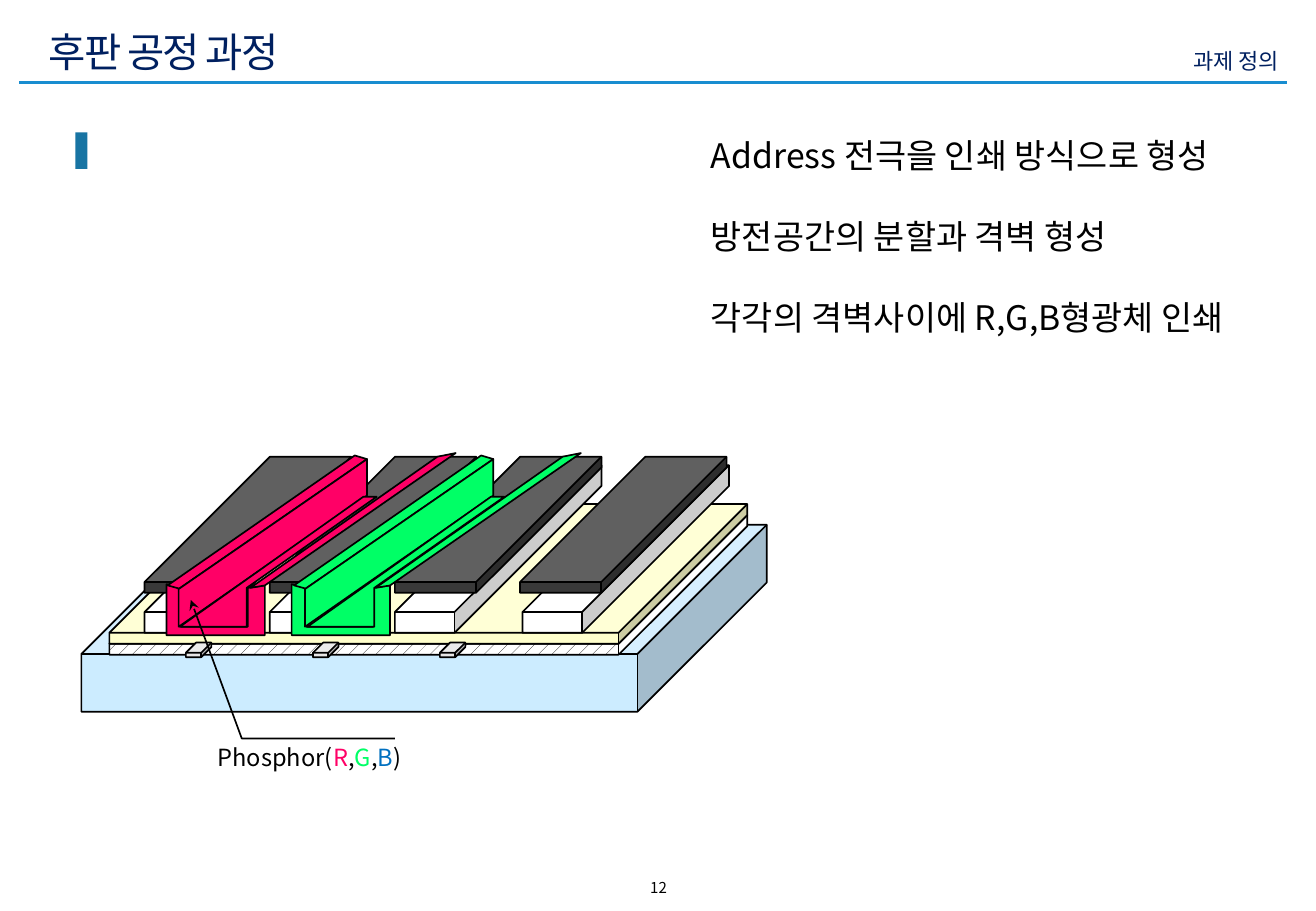
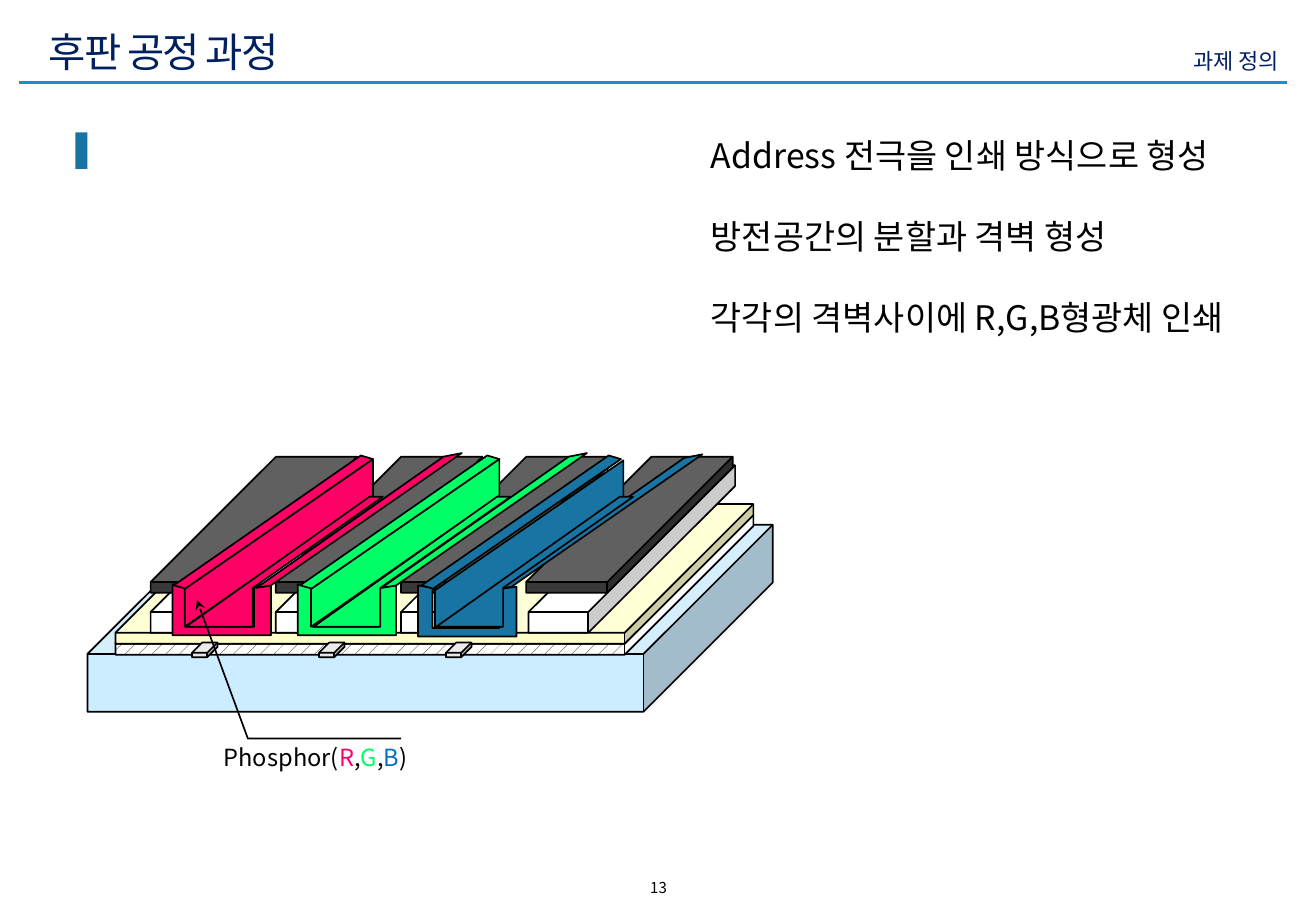
"""Two slides on the thick-film process, with a layered panel cutaway."""
from lxml.etree import SubElement
from pptx import Presentation
from pptx.dml.color import RGBColor
from pptx.enum.dml import MSO_PATTERN
from pptx.enum.shapes import MSO_CONNECTOR, MSO_SHAPE
from pptx.enum.text import MSO_ANCHOR, MSO_AUTO_SIZE, PP_ALIGN
from pptx.oxml.ns import qn
from pptx.util import Inches, Pt

FONT = "Noto Sans CJK KR"
COLORS = {
    "black": "000000", "white": "FFFFFF", "navy": "002060", "rule": "188DD0",
    "accent": "1874A3", "glass": "CCECFF", "dielectric": "FFFFCC",
    "electrode": "E7E6E6", "lid": "393939",
    "red": "FF0066", "green": "00FF66", "label blue": "0070C0",
}
TITLE = "후판 공정 과정"
SECTION = "과제 정의"
STEPS = [
    "Address 전극을 인쇄 방식으로 형성",
    "방전공간의 분할과 격벽 형성",
    "각각의 격벽사이에 R,G,B형광체 인쇄",
]
LABEL = [("Phosphor(", "black"), ("R", "red"), (",", "black"), ("G", "green"),
         (",", "black"), ("B", "label blue"), (")", "black")]
PAGES = [
    {"number": 12, "channels": ["green", "red"], "shift": 0},
    {"number": 13, "channels": ["accent", "green", "red"], "shift": 0.05},
]

LAYERS = [
    ((0.67, 4.32, 5.64, 1.54), 0.691, "glass"),
    ((0.9, 4.24, 5.25, 1.15), 0.921, None),
    ((0.9, 4.15, 5.25, 1.15), 0.921, "dielectric"),
]
ELECTRODES = [((1.53 + 1.045 * i, 5.29, 0.21, 0.12), 0.7, "electrode") for i in range(3)]
RIB_COUNT, RIB_LEFT, RIB_PITCH = 4, 1.19, 1.03
RIBS = [
    rib
    for i in range(RIB_COUNT)
    for rib in (
        ((RIB_LEFT + RIB_PITCH * i + (0.02 if i == RIB_COUNT - 1 else 0), 3.83, 1.7, 1.38),
         0.876, "white"),
        ((RIB_LEFT + RIB_PITCH * i, 3.76, 1.7, 1.12), 0.921, "lid"),
    )
]

CHANNEL_PARTS = {
    "front": [(1.37, 4.81), (1.49, 4.83), (1.49, 5.16), (2.04, 5.16), (2.04, 4.84),
              (2.18, 4.82), (2.18, 5.23), (1.37, 5.23)],
    "left rim": [(1.49, 4.85), (1.38, 4.82), (2.92, 3.75), (3.02, 3.78), (1.47, 4.85)],
    "right rim": [(3.75, 3.73), (3.6, 3.76), (2.06, 4.84), (2.18, 4.82)],
    "wall": [(3.02, 3.78), (3.02, 4.08), (1.47, 5.16), (1.47, 4.85)],
    "floor": [(2.99, 4.09), (3.1, 4.09), (2.03, 4.84), (2.03, 5.16), (1.48, 5.16)],
}
CHANNEL_SHIFTS = {
    "red": [(0, 0)] * 5,
    "green": [(1.03, 0), (1.04, 0), (1.03, 0), (1.04, 0), (1.05, 0)],
    "accent": [(2.02, 0.01), (2.04, 0), (1.98, 0.01), (2.06, 0.01), (2.06, 0)],
}
LEADER = [(1.57, 4.94), (1.99, 6.08), (3.25, 6.08)]


def rgb(name):
    return RGBColor.from_string(COLORS[name])


def place(shape, box):
    shape.left, shape.top, shape.width, shape.height = map(Inches, box)


def style(paragraph, size, color=None, spacing=None):
    font = paragraph.font
    font.size, font.name = Pt(size), FONT
    if color:
        font.color.rgb = rgb(color)
    properties = paragraph._p.get_or_add_pPr().find(qn("a:defRPr"))
    SubElement(properties, qn("a:ea")).set("typeface", FONT)
    if spacing:
        properties.set("spc", str(spacing))


def outline(shape, fill=None):
    shape.shadow.inherit = False
    shape.line.color.rgb = rgb("black")
    shape.line.width = Pt(1)
    if fill:
        shape.fill.solid()
        shape.fill.fore_color.rgb = rgb(fill)


def add_caption(shapes, box, text, size, color, align):
    caption = shapes.add_textbox(*map(Inches, box))
    caption.text_frame.word_wrap = True
    paragraph = caption.text_frame.paragraphs[0]
    paragraph.text, paragraph.alignment = text, align
    style(paragraph, size, color)


def add_cube(shapes, box, depth, fill):
    cube = shapes.add_shape(MSO_SHAPE.CUBE, *map(Inches, box))
    cube.adjustments[0] = depth
    outline(cube, fill)
    if not fill:
        cube.fill.patterned()
        cube.fill.pattern = MSO_PATTERN.PERCENT_10
        cube.fill.fore_color.rgb = rgb("black")
        cube.fill.back_color.rgb = rgb("white")


def add_outline(shapes, points, fill=None, shift=(0, 0), close=True):
    corners = [(Inches(x + shift[0]), Inches(y + shift[1])) for x, y in points]
    builder = shapes.build_freeform(*corners[0])
    builder.add_line_segments(corners[1:], close=close)
    polygon = builder.convert_to_shape()
    outline(polygon, fill)
    return polygon


def add_panel(slide, channels, shift):
    panel = slide.shapes.add_group_shape()
    shapes = panel.shapes
    for box, depth, fill in LAYERS + ELECTRODES + RIBS:
        add_cube(shapes, box, depth, fill)
    for color in channels:
        for points, offset in zip(CHANNEL_PARTS.values(), CHANNEL_SHIFTS[color]):
            add_outline(shapes, points, color, offset)

    leader = add_outline(shapes, LEADER, close=False)
    leader.fill.background()
    SubElement(leader.line._get_or_add_ln(), qn("a:headEnd")).set("type", "stealth")

    label = shapes.add_textbox(*map(Inches, (1.77, 6.15, 2.31, 0.26)))
    frame = label.text_frame
    frame.word_wrap = False
    frame.margin_left = frame.margin_right = Inches(0.02)
    frame.margin_top = frame.margin_bottom = Inches(0.01)
    paragraph = frame.paragraphs[0]
    paragraph.line_spacing = 0.8
    style(paragraph, 14)
    for text, color in LABEL:
        run = paragraph.add_run()
        run.text = text
        run.font.color.rgb = rgb(color)
    panel.left += Inches(shift)


def add_shared_marks(slide):
    rule = slide.shapes.add_connector(
        MSO_CONNECTOR.STRAIGHT, *map(Inches, (0.16, 0.68, 10.59, 0.68)))
    rule.line.color.rgb = rgb("rule")
    rule.line.width = Pt(2)
    SubElement(rule.element.spPr, qn("a:effectLst"))
    marker = slide.shapes.add_shape(
        MSO_SHAPE.RECTANGLE, *map(Inches, (0.62, 1.09, 0.1, 0.3)))
    marker.shadow.inherit = False
    marker.fill.solid()
    marker.fill.fore_color.rgb = rgb("accent")
    marker.line.fill.background()
    for mark in (rule, marker):
        slide.slide_layout.shapes.element.append(mark.element)


def fill_title(title):
    place(title, (0.3, 0.17, 8.51, 0.5))
    title.text_frame.text = TITLE
    title.text_frame.vertical_anchor = MSO_ANCHOR.MIDDLE
    title.text_frame.auto_size = MSO_AUTO_SIZE.NONE
    paragraph = title.text_frame.paragraphs[0]
    paragraph.alignment = PP_ALIGN.LEFT
    style(paragraph, 24, "navy", spacing=-100)


def fill_steps(body):
    place(body, (5.75, 1.06, 5.08, 1.78))
    frame = body.text_frame
    frame.text = "\n".join(STEPS)
    frame.auto_size = MSO_AUTO_SIZE.NONE
    for i, paragraph in enumerate(frame.paragraphs):
        paragraph.line_spacing = Pt(24)
        paragraph.space_before = Pt(24 if i else 0)
        properties = paragraph._p.get_or_add_pPr()
        properties.set("marL", "0")
        properties.set("indent", "0")
        SubElement(properties, qn("a:buNone"))
        style(paragraph, 20, "black")


def main():
    deck = Presentation()
    deck.slide_width, deck.slide_height = Inches(10.83), Inches(7.5)
    layout = deck.slide_layouts[1]
    for page in PAGES:
        slide = deck.slides.add_slide(layout)
        if page is PAGES[0]:
            add_shared_marks(slide)
        fill_title(slide.shapes.title)
        fill_steps(slide.placeholders[1])
        add_caption(slide.shapes, (6.55, 0.34, 4.07, 0.3), SECTION, 13, "navy", PP_ALIGN.RIGHT)
        add_caption(slide.shapes, (4.39, 7.18, 2.06, 0.25), str(page["number"]), 8.9,
                    "black", PP_ALIGN.CENTER)
        add_panel(slide, page["channels"], page["shift"])
    deck.save("out.pptx")


if __name__ == "__main__":
    main()
